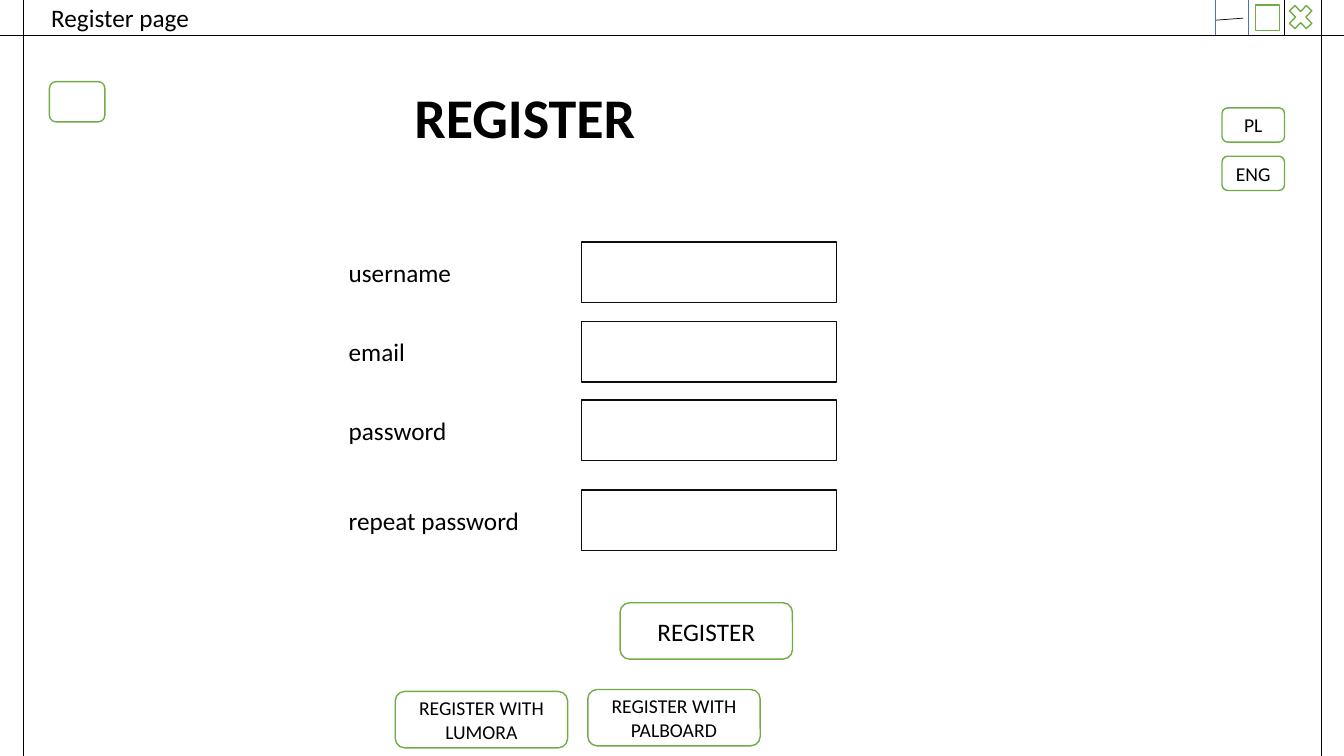
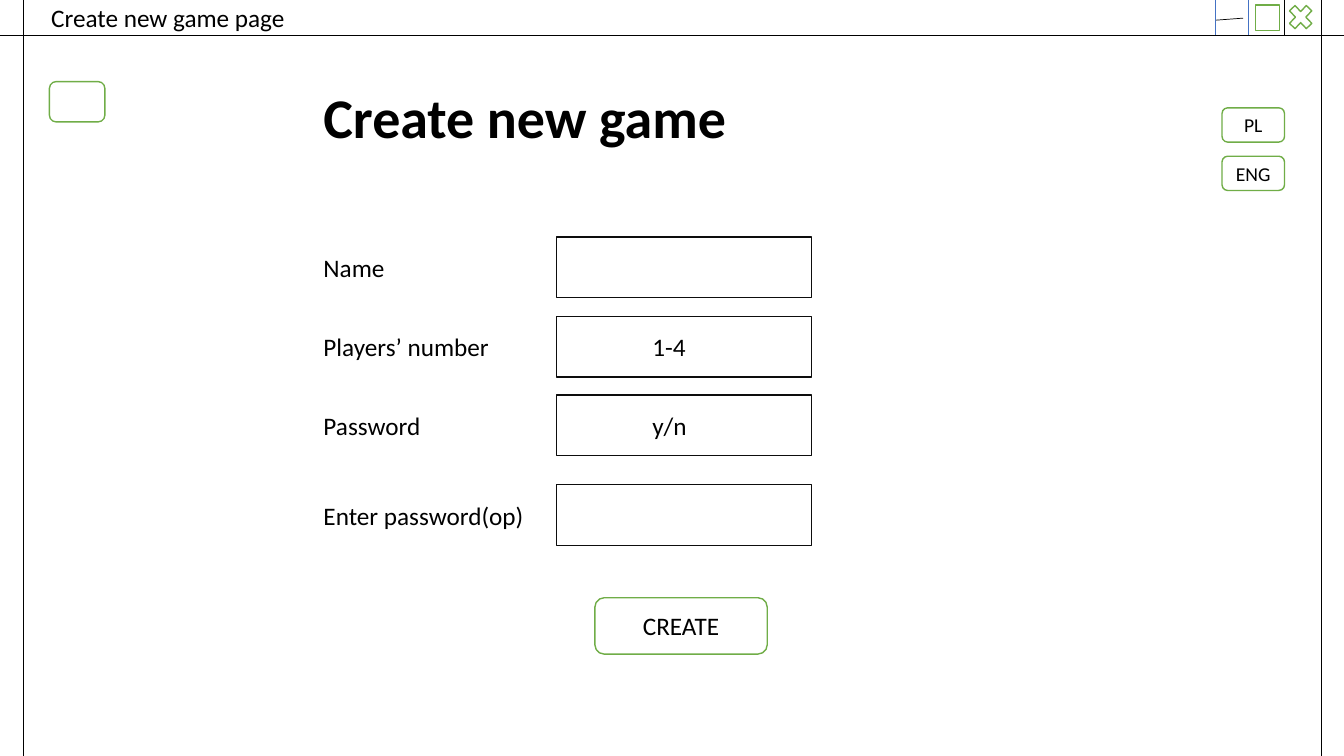
from lxml import etree
from pptx import Presentation
from pptx.dml.color import RGBColor
from pptx.enum.shapes import MSO_CONNECTOR, MSO_SHAPE as Shape
from pptx.enum.text import MSO_ANCHOR as Anchor, PP_ALIGN as Align
from pptx.oxml.ns import qn
from pptx.util import Inches, Pt

BLACK = RGBColor(0x00, 0x00, 0x00)
NEAR_BLACK = RGBColor(0x0D, 0x0D, 0x0D)
WHITE = RGBColor(0xFF, 0xFF, 0xFF)
GREEN = RGBColor(0x70, 0xAD, 0x47)
BLUE = RGBColor(0x44, 0x72, 0xC4)
FONT = "Calibri"

WIDTH, HEIGHT = 13.33, 7.5
BAR_BOTTOM = 0.35
FIELD_OFFSETS = (0, 0.79, 1.57, 2.46)

# Window frame lines: x1, y1, x2, y2, colour
FRAME_LINES = [
    (0, BAR_BOTTOM, WIDTH, BAR_BOTTOM, BLACK),
    (13.11, 0, 13.11, HEIGHT, BLACK),
    (0.23, 0, 0.23, HEIGHT, BLACK),
    (12.06, 0.2, 12.33, 0.18, BLACK),
    (12.05, 0, 12.05, BAR_BOTTOM, BLUE),
    (12.38, 0, 12.38, BAR_BOTTOM, BLUE),
    (12.74, 0, 12.74, BAR_BOTTOM, BLACK),
]

# Each form is placed by the corner of its first field; fields are (label, value).
PAGES = [
    {
        "window": "Register page",
        "heading": "REGISTER",
        "corner": (5.77, 2.4),
        "fields": [("username", ""), ("email", ""), ("password", ""), ("repeat password", "")],
        "submit": "REGISTER",
        "sign_in": [("REGISTER WITH LUMORA", 3.92, 6.86), ("REGISTER WITH PALBOARD", 5.83, 6.84)],
    },
    {
        "window": "Create new game page",
        "heading": "Create new game",
        "corner": (5.52, 2.35),
        "fields": [("Name", ""), ("Players’ number", "1-4"), ("Password", "y/n"),
                   ("Enter password(op)", "")],
        "submit": "CREATE",
        "sign_in": [],
    },
]


def add_text(slide, text, x, y, w, h, size=18, bold=False, align=Align.LEFT,
             anchor=Anchor.TOP, spacing=1.0, shape=None, line=GREEN, indent=0.1):
    """Write text in a plain box, or in an outlined white shape if one is given."""
    place = [Inches(n) for n in (x, y, w, h)]
    if shape is None:
        box = slide.shapes.add_textbox(*place)
    else:
        box = slide.shapes.add_shape(shape, *place)
        box.shadow.inherit = False
        box.fill.solid()
        box.fill.fore_color.rgb = WHITE
        box.line.color.rgb = line
        box.line.width = Pt(1)
    if not text:
        return
    frame = box.text_frame
    frame.word_wrap = True
    frame.vertical_anchor = anchor
    frame.margin_left = Inches(indent)
    paragraph = frame.paragraphs[0]
    paragraph.alignment = align
    paragraph.line_spacing = spacing
    run = paragraph.add_run()
    run.text = text
    run.font.name = FONT
    run.font.size = Pt(size)
    run.font.bold = bold
    run.font.color.rgb = BLACK


def add_line(slide, x1, y1, x2, y2, color):
    line = slide.shapes.add_connector(
        MSO_CONNECTOR.STRAIGHT, *[Inches(n) for n in (x1, y1, x2, y2)])
    line.line.color.rgb = color
    line.line.width = Pt(0.5)
    etree.SubElement(line.element.spPr, qn("a:effectLst"))


BUTTON = {"shape": Shape.ROUNDED_RECTANGLE, "align": Align.CENTER, "anchor": Anchor.MIDDLE}

prs = Presentation()
prs.slide_width = Inches(WIDTH)
prs.slide_height = Inches(HEIGHT)

for page in PAGES:
    slide = prs.slides.add_slide(prs.slide_layouts[6])

    # Window frame and its controls
    add_text(slide, page["window"], 0.41, 0.04, 6.14, 0.31, anchor=Anchor.MIDDLE, spacing=0.9)
    add_text(slide, "", 12.74, 0, 0.32, 0.34, shape=Shape.MATH_MULTIPLY)
    add_text(slide, "", 12.45, 0.05, 0.24, 0.25, shape=Shape.RECTANGLE)
    for frame_line in FRAME_LINES:
        add_line(slide, *frame_line)

    # Back button, languages and heading
    add_text(slide, "", 0.49, 0.81, 0.55, 0.4, **BUTTON)
    for language, top in (("PL", 1.07), ("ENG", 1.55)):
        add_text(slide, language, 12.12, top, 0.62, 0.34, size=14, **BUTTON)
    add_text(slide, page["heading"], 2.78, 0.77, 4.85, 0.77, size=40, bold=True,
             align=Align.CENTER)

    # Form
    left, top = page["corner"]
    for (label, value), offset in zip(page["fields"], FIELD_OFFSETS):
        add_text(slide, value, left, top + offset, 2.53, 0.6, shape=Shape.RECTANGLE,
                 line=NEAR_BLACK, anchor=Anchor.MIDDLE, indent=0.95)
        add_text(slide, label, left - 2.41, top + offset + 0.1, 2.41, 0.4)
    add_text(slide, page["submit"], left + 0.38, top + 3.58, 1.71, 0.56, **BUTTON)
    for caption, x, y in page["sign_in"]:
        add_text(slide, caption, x, y, 1.71, 0.56, size=14, **BUTTON)

prs.save("out.pptx")
